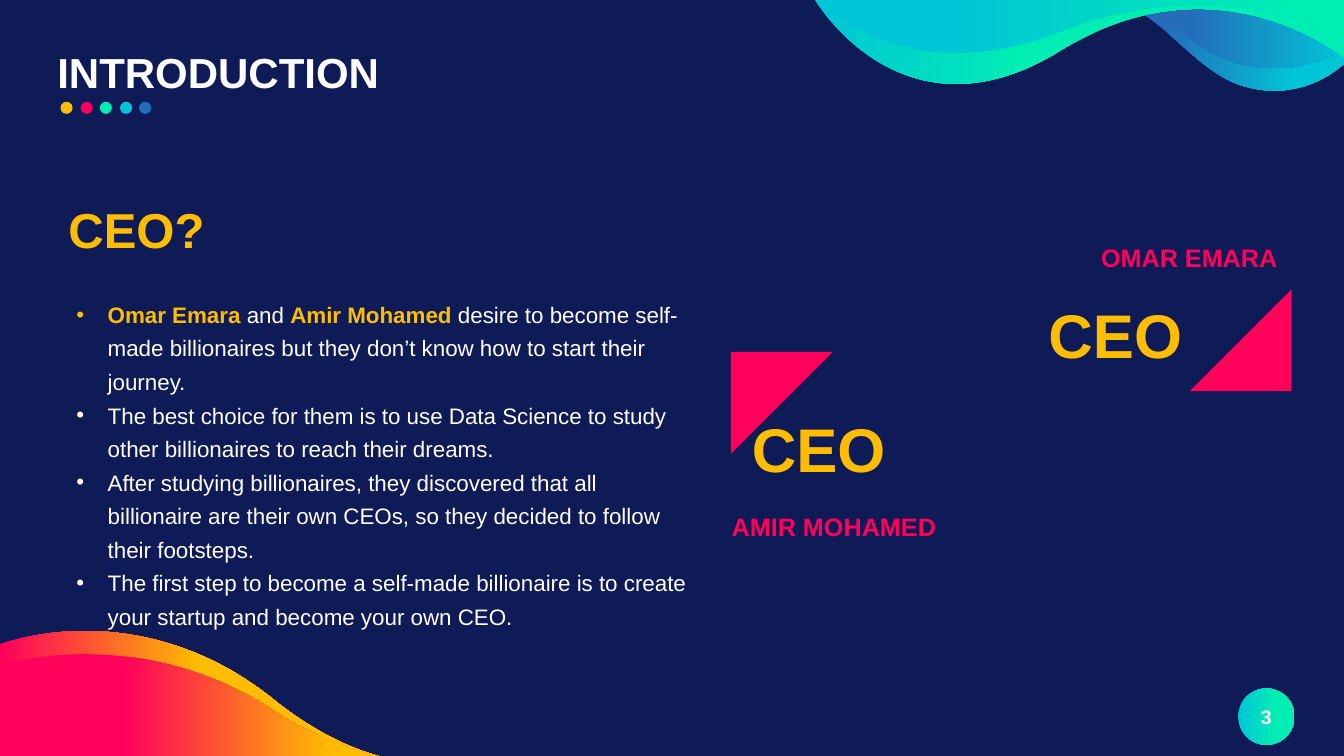
from lxml.etree import SubElement
from pptx import Presentation
from pptx.dml.color import RGBColor
from pptx.enum.shapes import MSO_SHAPE as Preset
from pptx.enum.text import MSO_ANCHOR as Anchor, PP_ALIGN as Align
from pptx.oxml.ns import qn
from pptx.util import Pt

PX = 9144  # EMU per px, 100 px to the inch


class Theme:
    navy, white = "0F1B57", "FFFFFF"
    yellow, pink = "FFBD00", "FF005B"
    green, cyan, blue = "00EEB3", "00C5D6", "236DBB"
    font = "Arial"
    title, heading, role, name, body, number = 30, 35, 44, 18, 16, 14


def paint(shape, *stops):
    """Fill with one colour, or left to right with two (position, colour) stops."""
    shape.shadow.inherit = False
    shape.line.fill.background()
    if len(stops) == 1:
        shape.fill.solid()
        shape.fill.fore_color.rgb = RGBColor.from_string(stops[0])
        return
    shape.fill.gradient()
    shape.fill.gradient_angle = 0
    for stop, (position, color) in zip(shape.fill.gradient_stops, stops):
        stop.position = position
        stop.color.rgb = RGBColor.from_string(color)


def add_text(box, paragraphs, size, align=Align.LEFT, anchor=Anchor.TOP, spacing=None, bullet=None):
    """Write paragraphs, each a list of (text, colour, bold) runs, into a new text box."""
    frame = slide.shapes.add_textbox(*(PX * value for value in box)).text_frame
    frame.word_wrap = True
    frame.vertical_anchor = anchor
    for index, runs in enumerate(paragraphs):
        paragraph = frame.add_paragraph() if index else frame.paragraphs[0]
        if bullet:
            properties = paragraph._p.get_or_add_pPr()
            properties.set("marL", str(31 * PX))
            properties.set("indent", str(-31 * PX))
            SubElement(properties, qn("a:buFont"), typeface=Theme.font)
            SubElement(properties, qn("a:buChar"), char=bullet)
        paragraph.alignment = align
        if spacing:
            paragraph.line_spacing = spacing
        for text, color, bold in runs:
            run = paragraph.add_run()
            run.text = text
            for key, value in {"name": Theme.font, "size": Pt(size), "bold": bold}.items():
                setattr(run.font, key, value)
            run.font.color.rgb = RGBColor.from_string(color)


presentation = Presentation()
presentation.slide_width, presentation.slide_height = 1333 * PX, 750 * PX
slide = presentation.slides.add_slide(presentation.slide_layouts[6])
backdrop = slide.shapes.add_shape(Preset.RECTANGLE, 0, 0, 1334 * PX, 752 * PX)
paint(backdrop, Theme.navy)

# Waves: frame, then a start point followed by line ends (2 numbers) or cubic curves (6 numbers)
waves = [
    ((0, 626, 383, 126),
     [(0, 639), (0, 752), (383, 752), (349, 744, 311, 726, 270, 693),
      (210, 645, 144, 626, 84, 626), (54, 626, 26, 631, 0, 639)],
     (0, Theme.pink), (0.52, Theme.yellow)),
    ((0, 649, 383, 103),
     [(0, 660), (0, 752), (383, 752), (349, 745, 311, 731, 270, 704),
      (210, 665, 144, 649, 84, 649), (54, 649, 26, 653, 0, 660)],
     (0.32, Theme.pink), (0.86, Theme.yellow)),
    ((1085, -2, 249, 91),
     [(1334, 62), (1334, 62, 1294, 104, 1232, 85), (1178, 68, 1145, -2, 1085, -2), (1334, -2)],
     (0.28, Theme.blue), (0.8, Theme.cyan)),
    ((1085, -2, 249, 69),
     [(1334, 46), (1334, 46, 1294, 79, 1232, 64), (1178, 51, 1145, -2, 1085, -2), (1334, -2)],
     (0.38, Theme.blue), (1, Theme.cyan)),
    ((807, -2, 527, 85),
     [(807, -2), (807, -2, 894, 148, 1052, 50), (1209, -47, 1334, 58, 1334, 58), (1334, -2)],
     (0, Theme.cyan), (0.4, Theme.green)),
    ((807, -2, 527, 54),
     [(807, -2), (807, -2, 894, 94, 1052, 31), (1209, -31, 1334, 36, 1334, 36), (1334, -2)],
     (0.24, Theme.cyan), (0.92, Theme.green)),
]
for (left, top, width, height), segments, *stops in waves:
    right, bottom = left + width, top + height
    builder = slide.shapes.build_freeform(left, top, scale=PX)
    builder.add_line_segments([(right, top), (right, bottom), (left, bottom)])
    wave = builder.convert_to_shape()
    outline = wave._element.find(".//" + qn("a:path"))
    for command in list(outline):
        outline.remove(command)
    for index, segment in enumerate(segments):
        tag = "a:moveTo" if index == 0 else "a:lnTo" if len(segment) == 2 else "a:cubicBezTo"
        command = SubElement(outline, qn(tag))
        for x, y in zip(segment[::2], segment[1::2]):
            SubElement(command, qn("a:pt"), x=str(x - left), y=str(y - top))
    SubElement(outline, qn("a:close"))
    paint(wave, *stops)

# Title, its row of dots and the slide number
add_text((47, 44, 1232, 60), [[("INTRODUCTION", Theme.white, True)]], Theme.title,
         anchor=Anchor.MIDDLE, spacing=0.9)
dot_colors = [Theme.yellow, Theme.pink, Theme.green, Theme.cyan, Theme.blue]
for index, color in enumerate(dot_colors):
    left = round(60 + 19.6 * index)
    paint(slide.shapes.add_shape(Preset.OVAL, left * PX, 101 * PX, 12 * PX, 12 * PX), color)

badge = slide.shapes.add_shape(Preset.OVAL, 1228 * PX, 683 * PX, 56 * PX, 56 * PX)
paint(badge, (0, Theme.cyan), (0.67, Theme.green))
add_text((1225, 691, 62, 40), [[("3", Theme.white, True)]], Theme.number,
         align=Align.CENTER, anchor=Anchor.MIDDLE)

# Story on the left
add_text((58, 193, 628, 69), [[("CEO?", Theme.yellow, True)]], Theme.heading)
story = [
    [("Omar Emara ", Theme.yellow, True), ("and ", Theme.white, False),
     ("Amir Mohamed ", Theme.yellow, True),
     ("desire to become self-made billionaires but they don’t know how to start their journey.",
      Theme.white, False)],
    [("The best choice for them is to use Data Science to study other billionaires "
      "to reach their dreams.", Theme.white, False)],
    [("After studying billionaires, they discovered that all billionaire are their own CEOs, "
      "so they decided to follow their footsteps.", Theme.white, False)],
    [("The first step to become a self-made billionaire is to create your startup "
      "and become your own CEO.", Theme.white, False)],
]
add_text((66, 287, 628, 277), story, Theme.body, spacing=1.25, bullet="•")

# The two CEOs on the right
for left, top, rotation in [(1180, 287, 270), (725, 349, 90)]:
    triangle = slide.shapes.add_shape(Preset.RIGHT_TRIANGLE, left * PX, top * PX, 101 * PX, 101 * PX)
    triangle.rotation = rotation
    paint(triangle, Theme.pink)

labels = [
    ((1035, 235, 289, 40), "OMAR EMARA", Theme.pink, Theme.name, Align.CENTER),
    ((1030, 290, 225, 84), "CEO", Theme.yellow, Theme.role, Align.LEFT),
    ((616, 403, 289, 84), "CEO ", Theme.yellow, Theme.role, Align.RIGHT),
    ((686, 502, 289, 40), "AMIR MOHAMED ", Theme.pink, Theme.name, Align.CENTER),
]
for box, text, color, size, align in labels:
    add_text(box, [[(text, color, True)]], size, align=align)

presentation.save("out.pptx")
